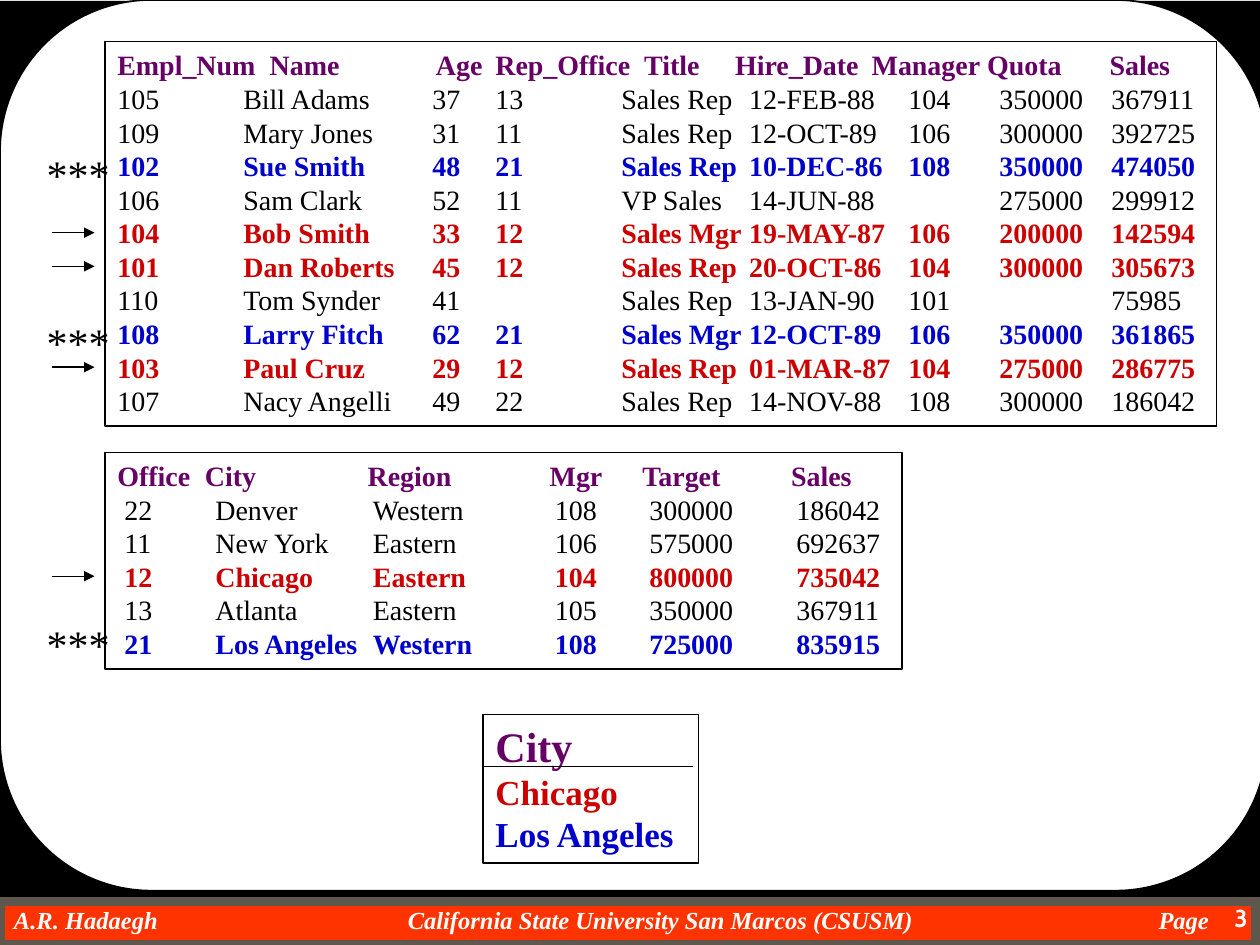
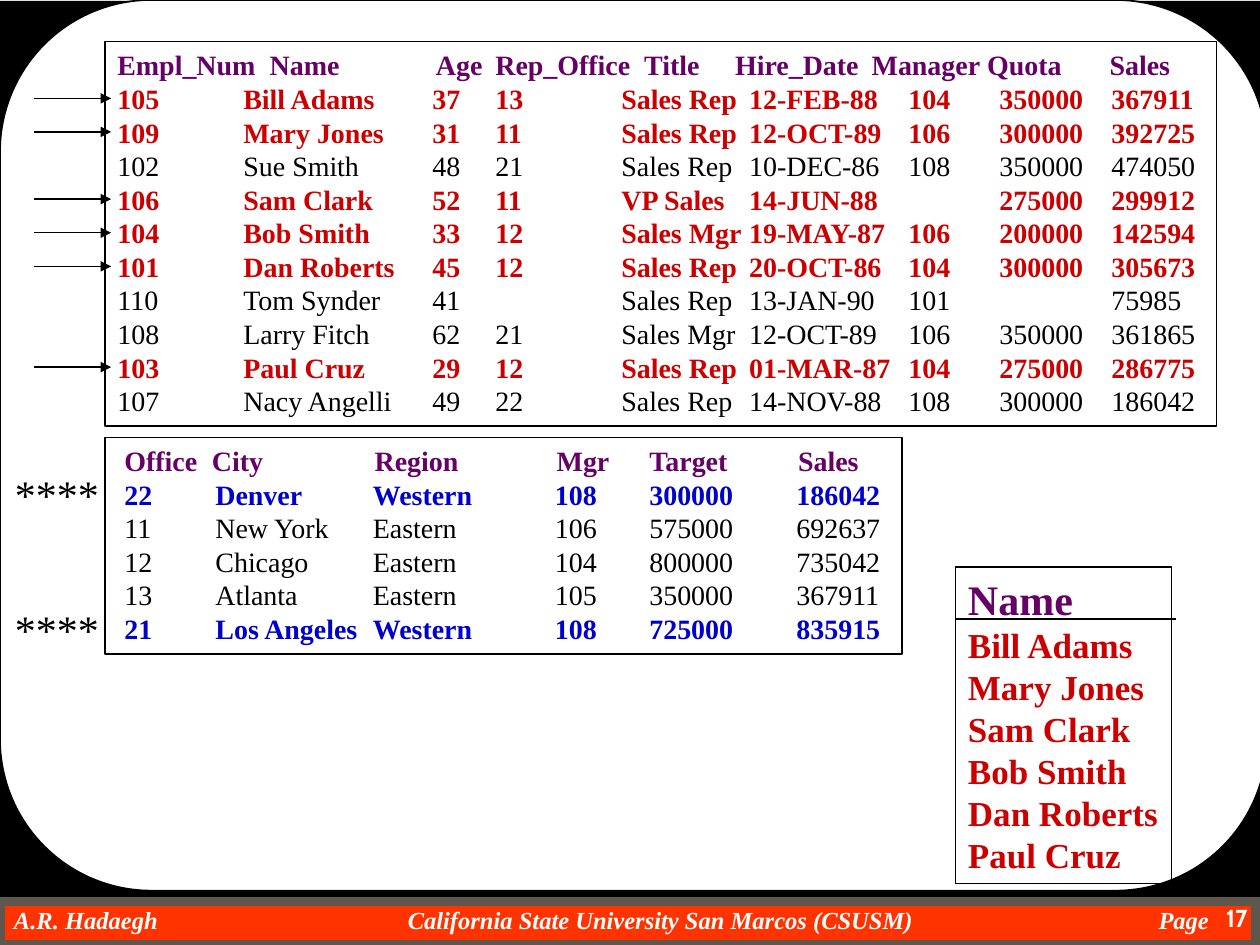
from lxml.etree import SubElement as Sub
from pptx import Presentation
from pptx.dml.color import RGBColor as RGB
from pptx.enum.shapes import MSO_CONNECTOR as Conn, MSO_SHAPE as Kind
from pptx.enum.text import MSO_ANCHOR as Anchor, PP_ALIGN as Align
from pptx.oxml.ns import qn
from pptx.util import Pt

# Content
STAFF_HEAD = ("Empl_Num", "Name", "Age", "Rep_Office", "Title",
              "Hire_Date", "Manager", "Quota", "Sales")
STAFF = [
    ("105", "Bill Adams", "37", "13", "Sales Rep", "12-FEB-88", "104", "350000", "367911"),
    ("109", "Mary Jones", "31", "11", "Sales Rep", "12-OCT-89", "106", "300000", "392725"),
    ("102", "Sue Smith", "48", "21", "Sales Rep", "10-DEC-86", "108", "350000", "474050"),
    ("106", "Sam Clark", "52", "11", "VP Sales", "14-JUN-88", "", "275000", "299912"),
    ("104", "Bob Smith", "33", "12", "Sales Mgr", "19-MAY-87", "106", "200000", "142594"),
    ("101", "Dan Roberts", "45", "12", "Sales Rep", "20-OCT-86", "104", "300000", "305673"),
    ("110", "Tom Synder", "41", "", "Sales Rep", "13-JAN-90", "101", "", "75985"),
    ("108", "Larry Fitch", "62", "21", "Sales Mgr", "12-OCT-89", "106", "350000", "361865"),
    ("103", "Paul Cruz", "29", "12", "Sales Rep", "01-MAR-87", "104", "275000", "286775"),
    ("107", "Nacy Angelli", "49", "22", "Sales Rep", "14-NOV-88", "108", "300000", "186042"),
]
OFFICE_HEAD = ("Office", "City", "Region", "Mgr", "Target", "Sales")
OFFICES = [
    ("22", "Denver", "Western", "108", "300000", "186042"),
    ("11", "New York", "Eastern", "106", "575000", "692637"),
    ("12", "Chicago", "Eastern", "104", "800000", "735042"),
    ("13", "Atlanta", "Eastern", "105", "350000", "367911"),
    ("21", "Los Angeles", "Western", "108", "725000", "835915"),
]
FOOTER = ("A.R. Hadaegh", "California State University San Marcos (CSUSM)", "Page")

# Red rows get an arrow, blue rows get stars
SLIDES = [
    dict(page="3", staff={"red": ("104", "101", "103"), "blue": ("102", "108")},
         office={"red": ("12",), "blue": ("21",)}, top=258.5, shift=0,
         arrow=(30, 54), stars="***", mid=44.6,
         result=(276, 408.2, 123, 85), rule=120, head="City",
         found=[("Chicago", "red"), ("Los Angeles", "blue")]),
    dict(page="17", staff={"red": ("105", "109", "106", "104", "101", "103")},
         office={"blue": ("22", "21")}, top=250, shift=4,
         arrow=(19.5, 63.5), stars="****", mid=32.5,
         result=(546, 324, 123.5, 181), rule=126, head="Name",
         found=[(name, "red") for name in ("Bill Adams", "Mary Jones", "Sam Clark",
                                           "Bob Smith", "Dan Roberts", "Paul Cruz")]),
]

# Theme and measures
THEME = dict(
    black=RGB(0, 0, 0), white=RGB(255, 255, 255), purple=RGB(0x66, 0, 0x66),
    red=RGB(0xCC, 0, 0), blue=RGB(0, 0, 0xCC), band=RGB(0xFF, 0x33, 0),
    edge=RGB(0x5E, 0x57, 0x4E), serif="Times New Roman", sans="Cabin",
    row=16, big=24, item=20, foot=14)
LEAD = 1.2      # line height per type size
PAD = 3.6       # space above the first line
LEFT = 60       # left side of both data boxes
STAFF_TABS = (72, 180, 216, 288, 361, 452, 504, 568)
STAFF_HEAD_TABS = (87, 182, 216, 301, 353, 431, 497, 567)
OFFICE_TABS = (4, 56, 146, 250, 304, 388)
OFFICE_HEAD_TABS = (50, 143, 247, 300, 385)


def block(slide, kind, box, fill=None, line=None, width=0.75):
    shape = slide.shapes.add_shape(kind, *map(Pt, box))
    shape.shadow.inherit = False
    if fill:
        shape.fill.solid()
        shape.fill.fore_color.rgb = THEME[fill]
    else:
        shape.fill.background()
    if line:
        shape.line.color.rgb = THEME[line]
        shape.line.width = Pt(width)
    else:
        shape.line.fill.background()
    return shape


def style(para, size, color, bold=False, italic=False, font="serif"):
    for run in para.runs:
        face = run.font
        face.name, face.size = THEME[font], Pt(THEME[size])
        face.bold, face.italic = bold, italic
        face.color.rgb = THEME[color]


def set_tabs(para, stops):
    tabs = Sub(para._p.get_or_add_pPr(), qn("a:tabLst"))
    for stop in stops:
        Sub(tabs, qn("a:tab"), pos=str(int(Pt(stop))), algn="l")


def write(shape, rows):
    """Fill a shape with rows of (text, size, colour, bold, tab stops)."""
    frame = shape.text_frame
    frame.word_wrap = True
    frame.vertical_anchor = Anchor.TOP
    frame.margin_right = 0
    frame.text = "\n".join(row[0] for row in rows)
    for para, (_, size, color, bold, stops) in zip(frame.paragraphs, rows):
        para.alignment = Align.LEFT
        para.line_spacing = Pt(THEME[size] * LEAD)
        style(para, size, color, bold)
        if stops:
            set_tabs(para, stops)


def label(slide, box, text, align, side=0):
    shape = slide.shapes.add_textbox(*map(Pt, box))
    frame = shape.text_frame
    frame.word_wrap = True
    frame.margin_left = frame.margin_right = Pt(side)
    frame.text = text
    frame.paragraphs[0].alignment = align
    return frame


def rule(slide, start, end, y, arrow=False):
    line = slide.shapes.add_connector(Conn.STRAIGHT, Pt(start), Pt(y), Pt(end), Pt(y))
    line.line.color.rgb = THEME["black"]
    line.line.width = Pt(0.75)
    if arrow:
        Sub(line.line._get_or_add_ln(), qn("a:tailEnd"), type="triangle")
    Sub(line._element.spPr, qn("a:effectLst"))


def base(slide, page):
    # Footer band, black backdrop and rounded white panel
    block(slide, Kind.RECTANGLE, (0, 514.8, 718, 25.2), "band", "edge", 6)
    foot = label(slide, (0, 517, 697, 16.5), "\t" + "\t".join(FOOTER), Align.LEFT)
    foot.margin_top = foot.margin_bottom = 0
    style(foot.paragraphs[0], "foot", "white", True, True)
    set_tabs(foot.paragraphs[0], (8, 233, 662))
    block(slide, Kind.RECTANGLE, (0, 0.5, 720, 512), "black")
    panel = block(slide, Kind.ROUNDED_RECTANGLE, (0, 0, 724, 509), "white", "black", 1)
    panel.adjustments[0] = 0.17
    num = label(slide, (666, 512.6, 54, 27.4), page, Align.RIGHT, 7.2)
    style(num.paragraphs[0], "foot", "white", True, font="sans")


def data(slide, box, head, rows, stops, marks, lead=""):
    """Draw a data box; return the (colour, middle) of each marked row."""
    lines, hits = [head], []
    for i, row in enumerate(rows, 1):
        color = next((c for c, keys in marks.items() if row[0] in keys), "black")
        marked = color != "black"
        lines.append((lead + "\t".join(row), "row", color, marked, stops))
        if marked:
            hits.append((color, box[1] + PAD + THEME["row"] * LEAD * (i + 0.5)))
    write(block(slide, Kind.RECTANGLE, box, "white", "black"), lines)
    return hits


def point(slide, hits, page, drop=0):
    for color, y in hits:
        if color == "red":
            rule(slide, *page["arrow"], y, arrow=True)
        else:
            frame = label(slide, (page["mid"] - 30, y + drop - 18, 60, 36),
                          page["stars"], Align.CENTER)
            frame.vertical_anchor = Anchor.MIDDLE
            style(frame.paragraphs[0], "big", "black")


def build(slide, page):
    base(slide, page["page"])
    # Employees and offices
    head = ("\t".join(STAFF_HEAD), "row", "purple", True, STAFF_HEAD_TABS)
    staff = data(slide, (LEFT, 23.8, 635, 219.6), head, STAFF, STAFF_TABS, page["staff"])
    shift = page["shift"]
    stops = [stop + shift for stop in OFFICE_HEAD_TABS]
    if shift:
        stops.insert(0, shift)
    text = ("\t" if shift else "") + "\t".join(OFFICE_HEAD)
    head = (text, "row", "purple", True, stops)
    office = data(slide, (LEFT, page["top"], 455.5, 123.8), head, OFFICES,
                  OFFICE_TABS, page["office"], "\t")
    point(slide, staff, page, 4.8)
    point(slide, office, page)
    # Query result
    left, top, _, _ = page["result"]
    lines = [(page["head"], "big", "purple", True, ())]
    lines += [(name, "item", color, True, ()) for name, color in page["found"]]
    write(block(slide, Kind.RECTANGLE, page["result"], line="black"), lines)
    rule(slide, left, left + page["rule"], top + 29.8)


def main():
    deck = Presentation()
    deck.slide_width, deck.slide_height = Pt(720), Pt(540)
    for page in SLIDES:
        build(deck.slides.add_slide(deck.slide_layouts[6]), page)
    deck.save("out.pptx")


if __name__ == "__main__":
    main()
